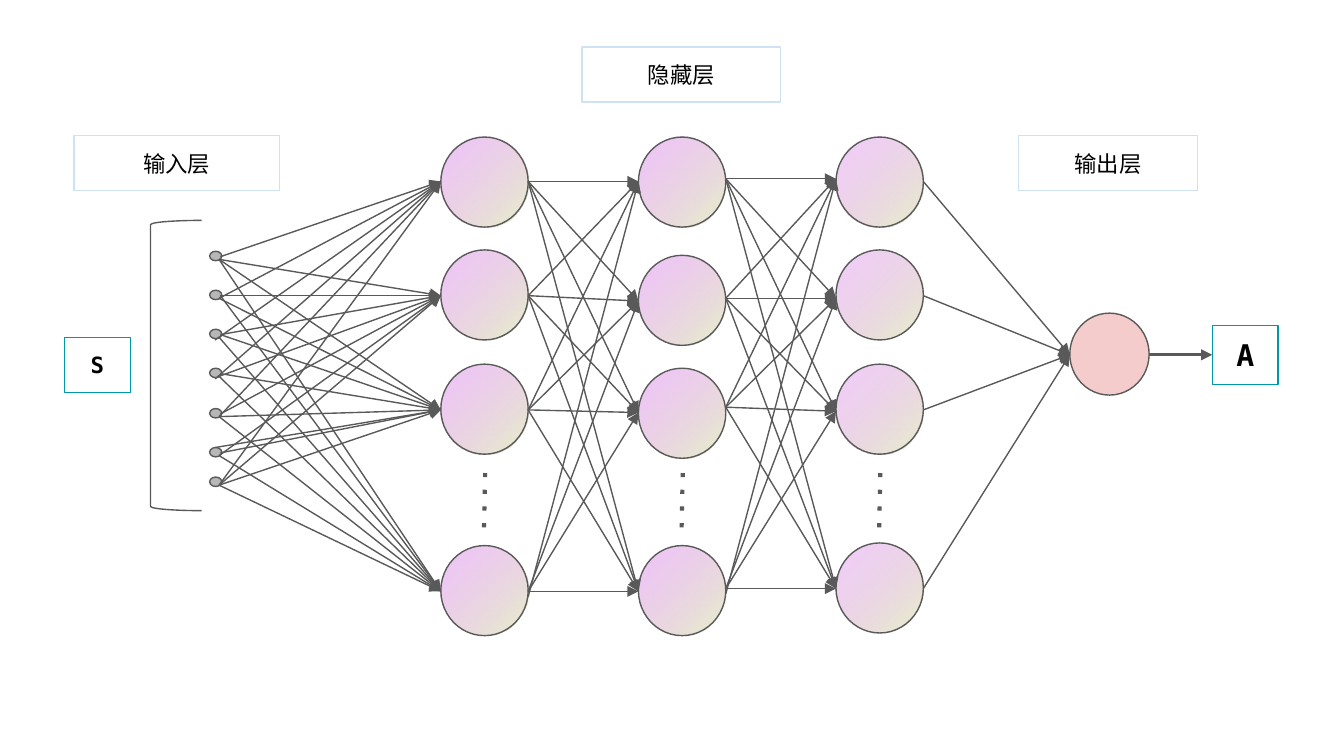
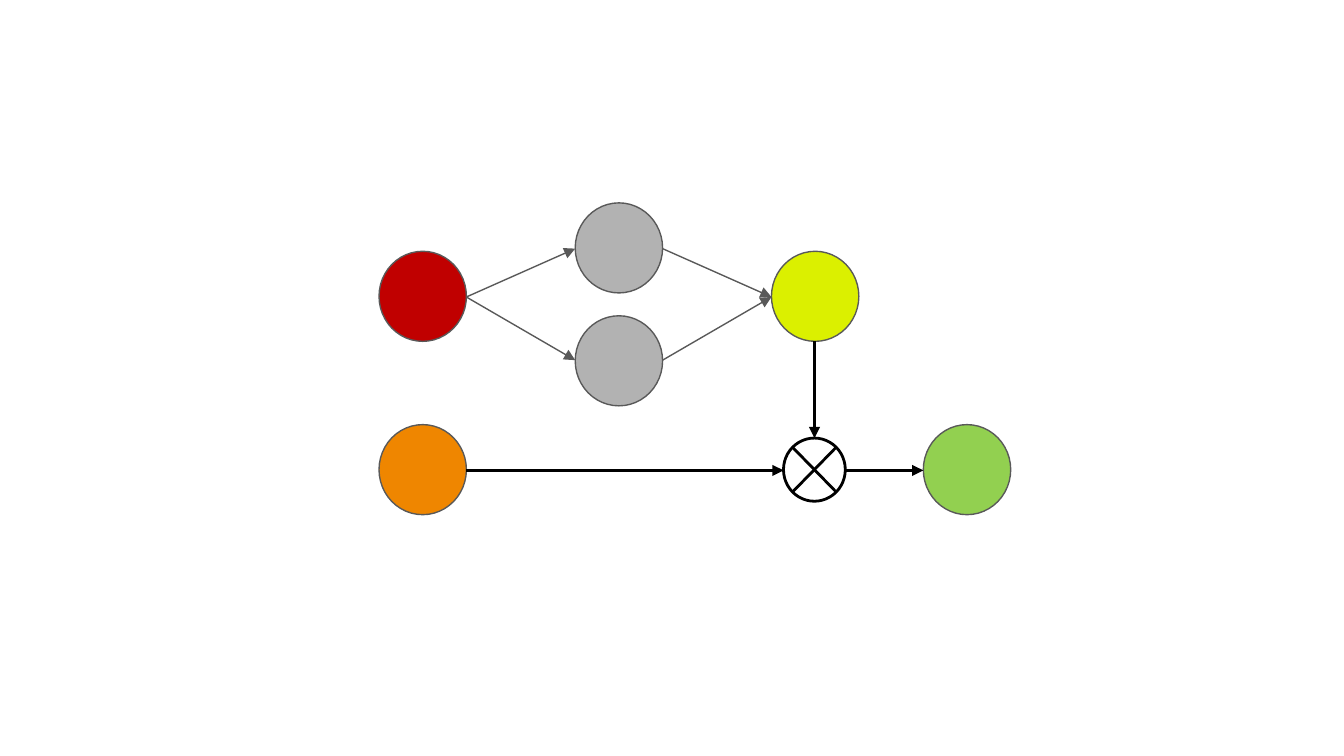
"""Build two slides: a layered neural network and a gated product diagram."""
from itertools import product

from lxml.etree import SubElement
from pptx import Presentation
from pptx.dml.color import RGBColor
from pptx.enum.shapes import MSO_CONNECTOR, MSO_SHAPE
from pptx.enum.text import MSO_ANCHOR, PP_ALIGN
from pptx.oxml.ns import qn
from pptx.util import Inches, Pt

BLACK = RGBColor(0x00, 0x00, 0x00)
GRAY = RGBColor(0x59, 0x59, 0x59)
DOT_GRAY = RGBColor(0xB7, 0xB7, 0xB7)
MID_GRAY = RGBColor(0xB2, 0xB2, 0xB2)
PALE_BLUE = RGBColor(0xCF, 0xE2, 0xF3)
TEAL = RGBColor(0x00, 0x97, 0xA7)
ROSE = RGBColor(0xF4, 0xCC, 0xCC)
PALE_GREEN = RGBColor(0xE0, 0xED, 0xBA)
VIOLET = RGBColor(0xDE, 0x87, 0xF1)
RED = RGBColor(0xC0, 0x00, 0x00)
YELLOW = RGBColor(0xDB, 0xF0, 0x00)
ORANGE = RGBColor(0xEF, 0x86, 0x00)
GREEN = RGBColor(0x92, 0xD0, 0x50)

FONT = "DejaVu Sans Mono"
NODE_W, NODE_H = 0.65, 0.67
FRAME_FORMAT = {
    "margin_left": Inches(0.1), "margin_right": Inches(0.1),
    "margin_top": Inches(0.1), "margin_bottom": Inches(0.1),
    "vertical_anchor": MSO_ANCHOR.MIDDLE, "word_wrap": True,
}


def add_outlined(slide, kind, left, top, width, height, fill=None, color=GRAY, weight=0.75):
    """Add a shadowless shape with an outline and an optional solid fill."""
    shape = slide.shapes.add_shape(kind, Inches(left), Inches(top), Inches(width), Inches(height))
    shape.shadow.inherit = False
    if fill is None:
        shape.fill.background()
    else:
        shape.fill.solid()
        shape.fill.fore_color.rgb = fill
    shape.line.color.rgb = color
    shape.line.width = Pt(weight)
    return shape


def add_link(slide, start, end, color=GRAY, weight=0.75, dotted=False):
    """Add a straight arrow, or a dotted line without a head."""
    link = slide.shapes.add_connector(MSO_CONNECTOR.STRAIGHT, *map(Inches, (*start, *end)))
    link.line.color.rgb = color
    link.line.width = Pt(weight)
    outline = link._element.spPr.find(qn("a:ln"))
    if dotted:
        SubElement(outline, qn("a:prstDash"), val="dot")
    else:
        SubElement(outline, qn("a:tailEnd"), type="triangle")
    SubElement(link._element.spPr, qn("a:effectLst"))


prs = Presentation()
prs.slide_width = Inches(10)
prs.slide_height = Inches(10) * 9 // 16
blank = prs.slide_layouts[6]

network = prs.slides.add_slide(blank)
labels = [
    ("输入层", 0.55, 1.01, 1.53, 0.41, PALE_BLUE, 12, False),
    ("隐藏层", 4.33, 0.35, 1.48, 0.41, PALE_BLUE, 12, False),
    ("输出层", 7.58, 1.01, 1.33, 0.41, PALE_BLUE, 12, False),
    ("S", 0.48, 2.51, 0.49, 0.41, TEAL, 12, True),
    ("A", 9.02, 2.42, 0.49, 0.44, TEAL, 16, True),
]
for text, left, top, width, height, color, size, bold in labels:
    label = add_outlined(network, MSO_SHAPE.RECTANGLE, left, top, width, height, color=color)
    for name, value in FRAME_FORMAT.items():
        setattr(label.text_frame, name, value)
    paragraph = label.text_frame.paragraphs[0]
    paragraph.alignment = PP_ALIGN.CENTER
    run = paragraph.add_run()
    run.text = text
    for name, value in {"name": FONT, "size": Pt(size), "bold": bold}.items():
        setattr(run.font, name, value)
    run.font.color.rgb = BLACK

state_bracket = add_outlined(network, MSO_SHAPE.LEFT_BRACKET, 1.12, 1.64, 0.38, 2.16)
state_bracket.adjustments[0] = 0.083

input_tops = [1.87, 2.16, 2.45, 2.74, 3.04, 3.33, 3.55]
for top in input_tops:
    add_outlined(network, MSO_SHAPE.FLOWCHART_CONNECTOR, 1.56, top, 0.09, 0.07, DOT_GRAY)

hidden_layers = [
    {"left": 3.28, "tops": [1.02, 1.86, 2.71, 4.06], "violet_alpha": 48,
     "entries": [1.35, 2.2, 3.05, 4.4], "exits": [1.35, 2.2, 3.05, 4.4]},
    {"left": 4.75, "tops": [1.02, 1.9, 2.74, 4.06], "violet_alpha": 48,
     "entries": [1.35, 2.24, 3.07, 4.4], "exits": [1.33, 2.22, 3.03, 4.38]},
    {"left": 6.22, "tops": [1.02, 1.86, 2.71, 4.04], "violet_alpha": 40,
     "entries": [1.33, 2.22, 3.06, 4.38], "exits": [1.35, 2.2, 3.05, 4.38]},
]
for layer in hidden_layers:
    left = layer["left"]
    for top in layer["tops"]:
        neuron = add_outlined(network, MSO_SHAPE.OVAL, left, top, NODE_W, NODE_H)
        neuron.fill.gradient()
        neuron.fill.gradient_angle = 135
        tints = [(PALE_GREEN, 79), (VIOLET, layer["violet_alpha"])]
        for stop, (tint, alpha) in zip(neuron.fill.gradient_stops, tints):
            stop.color.rgb = tint
            srgb = stop._gs.find(qn("a:srgbClr"))
            SubElement(srgb, qn("a:alpha"), val=str(alpha * 1000))
    add_link(network, (left + 0.33, 3.52), (left + 0.32, 4.01), weight=2.25, dotted=True)

first, last = hidden_layers[0], hidden_layers[-1]
right_edge_starts = {(0, 0), (1, 1), (1, 3), (2, 1), (2, 2), (3, 2), (4, 1), (5, 2)}
center_starts = {(2, 0), (3, 0)}
for (source, top), (target, entry) in product(enumerate(input_tops), enumerate(first["entries"])):
    start = (1.63, top + 0.06)
    if (source, target) in right_edge_starts:
        start = (1.64, top + 0.04)
    elif (source, target) in center_starts:
        start = (1.6, top + 0.08)
    elif (source, target) == (5, 0):
        start, entry = (1.6, top), first["entries"][2]
    add_link(network, start, (first["left"], entry))
for source, target in zip(hidden_layers, hidden_layers[1:]):
    for leave, entry in product(source["exits"], target["entries"]):
        if (leave, entry) == (source["exits"][-1], target["entries"][0]):
            leave += 0.04
        add_link(network, (source["left"] + NODE_W, leave), (target["left"], entry))

add_outlined(network, MSO_SHAPE.OVAL, 7.96, 2.33, 0.59, 0.61, ROSE)
for leave in last["exits"]:
    add_link(network, (last["left"] + NODE_W, leave), (7.96, 2.64))
add_link(network, (8.55, 2.64), (9.02, 2.64), weight=1.5)

gate = prs.slides.add_slide(blank)
gate_nodes = [
    (2.82, 1.87, RED), (4.28, 1.51, MID_GRAY), (4.28, 2.35, MID_GRAY),
    (5.74, 1.87, YELLOW), (2.82, 3.16, ORANGE), (6.87, 3.16, GREEN),
]
for left, top, fill in gate_nodes:
    add_outlined(gate, MSO_SHAPE.OVAL, left, top, NODE_W, NODE_H, fill)
add_outlined(gate, MSO_SHAPE.FLOWCHART_SUMMING_JUNCTION, 5.83, 3.26, 0.46, 0.47,
             color=BLACK, weight=1.5)
for middle in (1.85, 2.68):
    add_link(gate, (3.47, 2.21), (4.28, middle))
    add_link(gate, (4.93, middle), (5.74, 2.21))
product_links = [
    ((6.06, 2.54), (6.06, 3.26)), ((3.47, 3.5), (5.83, 3.5)), ((6.29, 3.5), (6.87, 3.5)),
]
for start, end in product_links:
    add_link(gate, start, end, BLACK, 2)

prs.save("out.pptx")
